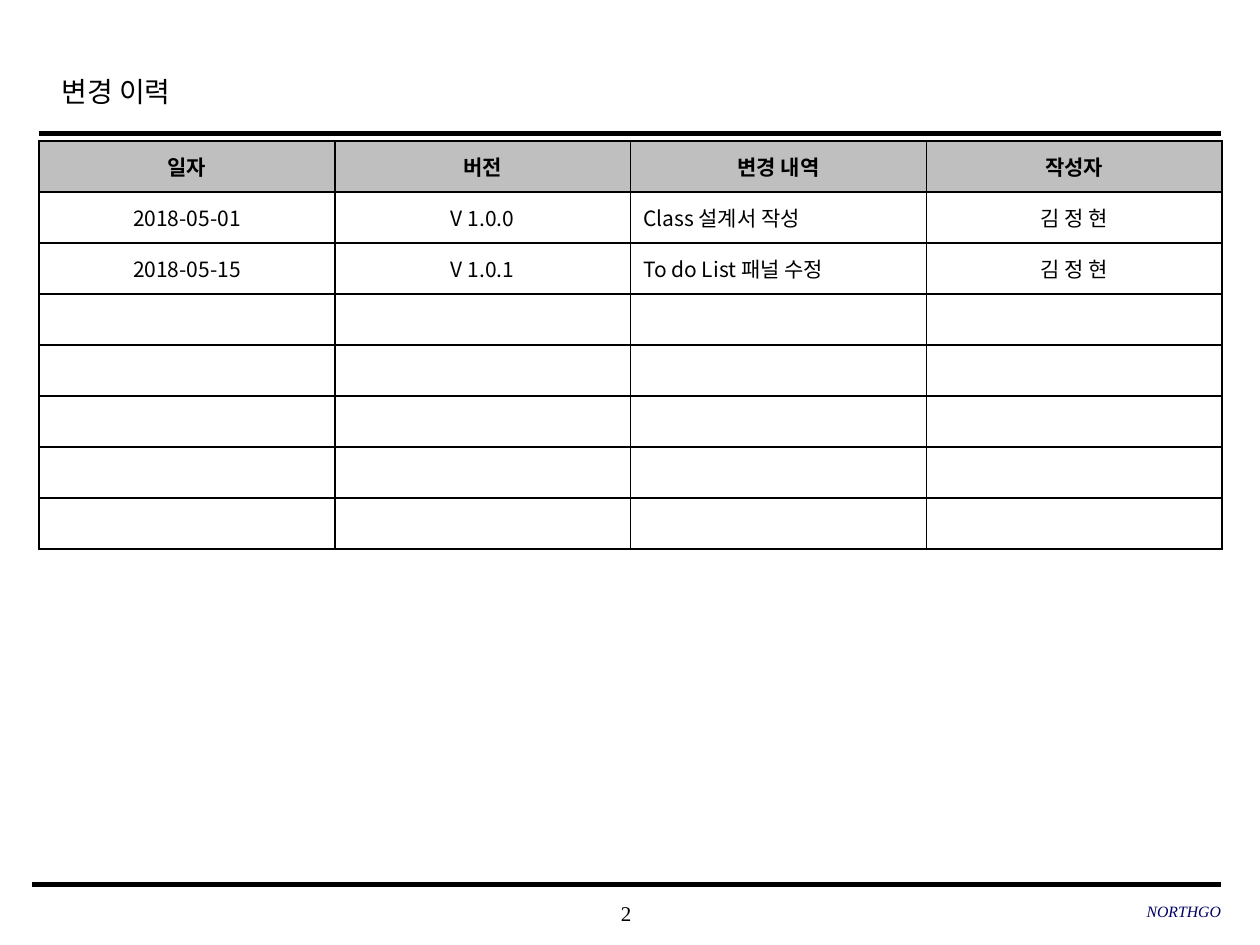
from lxml.etree import SubElement
from pptx import Presentation
from pptx.dml.color import RGBColor
from pptx.enum.shapes import MSO_CONNECTOR
from pptx.enum.text import MSO_ANCHOR, PP_ALIGN
from pptx.oxml import parse_xml
from pptx.oxml.ns import nsdecls, qn
from pptx.util import Inches, Pt

SERIF = "Times New Roman"
KOREAN = "Noto Sans CJK KR"


def color(hex_code):
    return RGBColor.from_string(hex_code)


def write(frame, text, size=12, font=SERIF, ink="000000", bold=False,
          italic=False, align=PP_ALIGN.LEFT, spacing=None):
    paragraph = frame.paragraphs[0]
    paragraph.alignment = align
    paragraph.line_spacing = spacing
    run = paragraph.add_run()
    run.text = text
    run.font.size = Pt(size)
    run.font.name = font
    run.font.bold = bold
    run.font.italic = italic
    run.font.color.rgb = color(ink)
    SubElement(run.font._element, qn("a:ea")).set("typeface", KOREAN)


deck = Presentation()
deck.slide_width, deck.slide_height = Inches(10), Inches(7.5)
slide = deck.slides.add_slide(deck.slide_layouts[6])

# Rules under the title and above the footer
for left, y, weight in [(0.31, 1.06, 2.5), (0.25, 7.02, 3)]:
    rule = slide.shapes.add_connector(
        MSO_CONNECTOR.STRAIGHT, Inches(left), Inches(y), Inches(9.69), Inches(y))
    rule.line.color.rgb = color("000000")
    rule.line.width = Pt(weight)
    SubElement(rule._element.spPr, qn("a:effectLst"))

# Title
title = slide.shapes.add_textbox(
    Inches(0.39), Inches(0.49), Inches(7.55), Inches(0.5)).text_frame
title.word_wrap = True
write(title, "변경 이력", size=16, spacing=1.2)

# Footer: page number and team name
footer = [
    (3.93, 7.08, 2.08, "2", dict(align=PP_ALIGN.CENTER)),
    (6.63, 7.07, 3.06, "NORTHGO",
     dict(size=9, ink="000066", italic=True, align=PP_ALIGN.RIGHT)),
]
for left, top, width, text, style in footer:
    frame = slide.shapes.add_textbox(
        Inches(left), Inches(top), Inches(width), Inches(0.33)).text_frame
    frame.word_wrap = True
    frame.vertical_anchor = MSO_ANCHOR.MIDDLE
    frame.margin_left = frame.margin_right = 0
    frame.margin_top = frame.margin_bottom = 0
    write(frame, text, **style)

# Change history table
history = [
    ("일자", "버전", "변경 내역", "작성자"),
    ("2018-05-01", "V 1.0.0", "Class 설계서 작성", "김 정 현"),
    ("2018-05-15", "V 1.0.1", "To do List 패널 수정", "김 정 현"),
]
ROWS, COLUMNS, CHANGE_COLUMN = 8, 4, 2
table = slide.shapes.add_table(
    ROWS, COLUMNS, Inches(0.31), Inches(1.12), Inches(9.39), Inches(3.24)).table

for row in range(ROWS):
    for column in range(COLUMNS):
        cell = table.cell(row, column)
        is_header = row == 0
        cell.vertical_anchor = MSO_ANCHOR.MIDDLE
        cell.margin_top = cell.margin_bottom = 0
        cell.fill.solid()
        cell.fill.fore_color.rgb = color("BFBFBF" if is_header else "FFFFFF")
        # Borders come before the fill in the cell properties
        for position, side in enumerate(("lnL", "lnR", "lnT", "lnB")):
            border = parse_xml(
                f'<a:{side} {nsdecls("a")} w="12700"><a:solidFill>'
                f'<a:srgbClr val="000000"/></a:solidFill></a:{side}>')
            cell._tc.tcPr.insert(position, border)
        if row < len(history):
            left_aligned = column == CHANGE_COLUMN and not is_header
            write(cell.text_frame, history[row][column], font=KOREAN, bold=is_header,
                  align=PP_ALIGN.LEFT if left_aligned else PP_ALIGN.CENTER)

deck.save("out.pptx")
